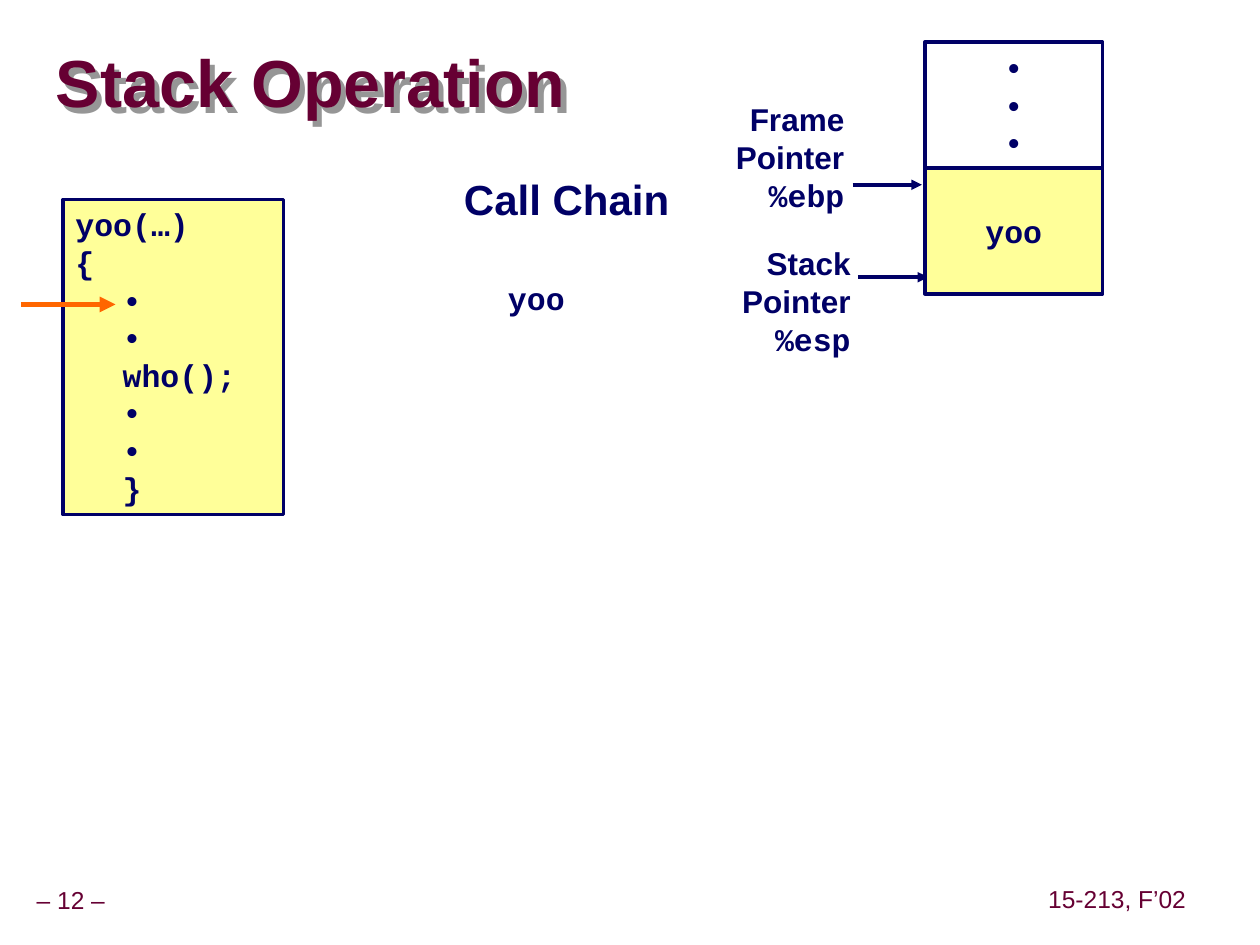
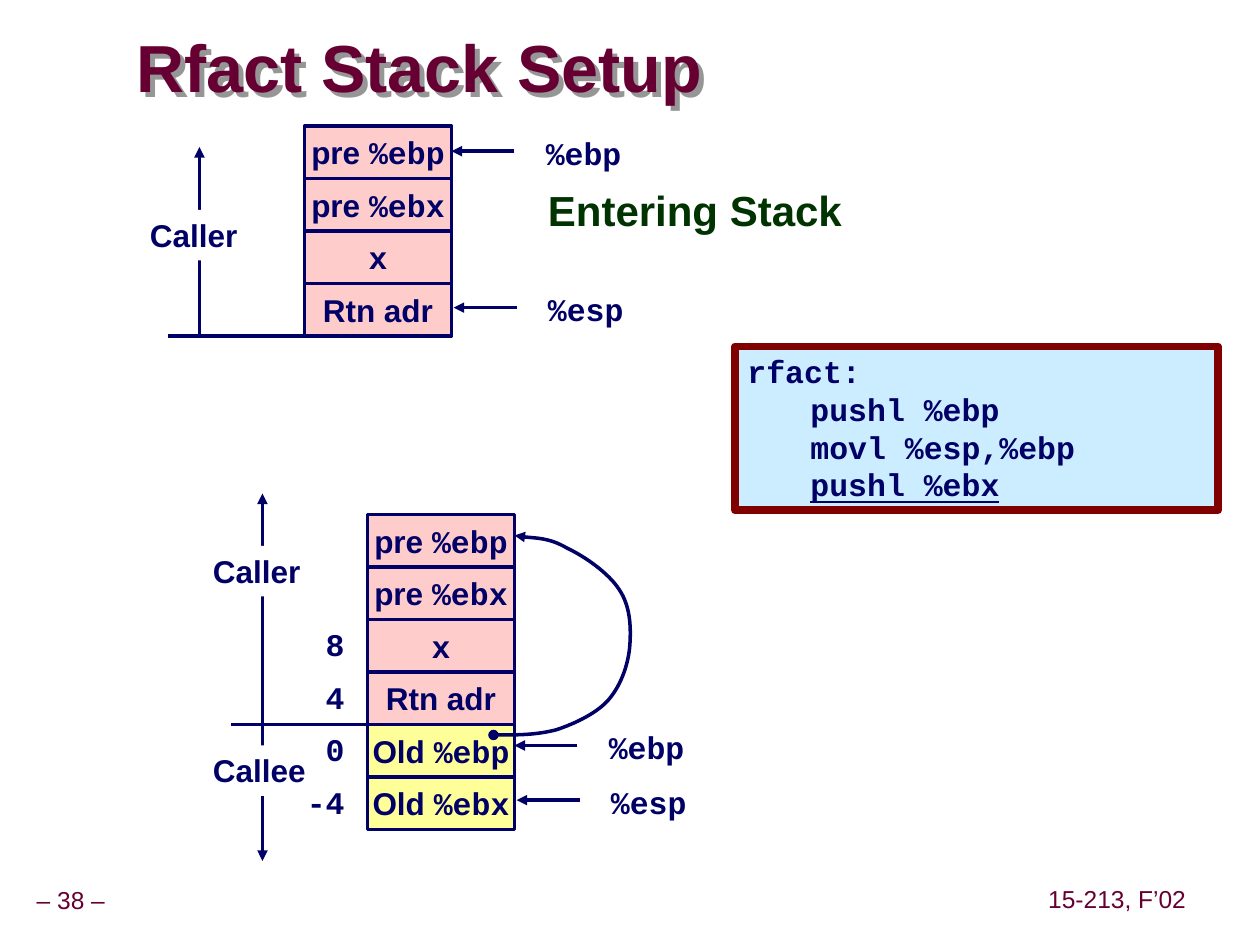
from dataclasses import dataclass
from typing import NamedTuple, Optional

from lxml import etree
from pptx import Presentation
from pptx import util as u
from pptx.dml import color
from pptx.enum import shapes, text
from pptx.oxml import ns

SCALE = 7620  # EMU per px, 120 px to the inch
SLIDE_W, SLIDE_H = 1200, 900

NAVY, MAROON, GREEN = "000066", "660033", "003300"
YELLOW, PINK, BLUE, WHITE = "FFFF99", "FFCCCC", "CCECFF", "FFFFFF"
ORANGE, DARK_RED = "FF6600", "800000"
SANS, MONO = "Arial", "Courier New"
LEFT, CENTER, RIGHT = text.PP_ALIGN.LEFT, text.PP_ALIGN.CENTER, text.PP_ALIGN.RIGHT
TOP, MIDDLE = text.MSO_ANCHOR.TOP, text.MSO_ANCHOR.MIDDLE

CELL_W, CELL_H = 140, 50


class Run(NamedTuple):
    words: str
    font: str = SANS
    underline: bool = False


class Line(NamedTuple):
    runs: tuple[Run, ...]
    indent: int = 0


class Area(NamedTuple):
    x: int
    y: int
    w: int
    h: int


@dataclass(frozen=True)
class Style:
    size: int = 18
    ink: str = NAVY
    bold: bool = True
    align: text.PP_ALIGN = LEFT
    anchor: text.MSO_ANCHOR = TOP
    spacing: Optional[float] = None  # None: a fixed height set by the size
    margin_x: int = 12
    margin_y: int = 6
    first_gap: int = 0  # extra room above the first line
    fill: Optional[str] = None
    outline: Optional[str] = None
    outline_pt: float = 2
    hug: bool = True  # no wrapping, box follows its text


LABEL = Style()
LABEL_RIGHT = Style(align=RIGHT)
SIDE_NAME = Style(fill=WHITE)
HEADING = Style(size=24)
TITLE = Style(size=38, ink=MAROON, anchor=MIDDLE, spacing=0.87,
              margin_x=0, margin_y=0, hug=False)
FOOTER = Style(size=14, ink=MAROON, bold=False, align=CENTER, anchor=MIDDLE,
               spacing=0.9, margin_x=6, margin_y=6)
CODE = Style(fill=YELLOW, outline=NAVY, hug=False)
ASSEMBLY = Style(fill=BLUE, outline=DARK_RED, outline_pt=4.5, hug=False)
OPEN_FRAME = Style(align=CENTER, outline=NAVY, hug=False)
YOO_FRAME = Style(align=CENTER, fill=YELLOW, outline=NAVY, first_gap=36, hug=False)


def px(n: float) -> u.Emu:
    return u.Emu(round(n * SCALE))


def rgb(code: str) -> color.RGBColor:
    return color.RGBColor.from_string(code)


def assign(target, values: dict) -> None:
    for key, value in values.items():
        setattr(target, key, value)


def sans(*words: str) -> list[Line]:
    return [Line((Run(w),)) for w in words]


def mono(*words: str, indent: int = 0) -> list[Line]:
    return [Line((Run(w, MONO),), indent) for w in words]


def mixed(words: str, register: str) -> list[Line]:
    return [Line((Run(words), Run(register, MONO)))]


# ---- Drawing ----
def write(frame, lines: list[Line], style: Style) -> None:
    fit = text.MSO_AUTO_SIZE
    assign(frame, {
        "word_wrap": not style.hug,
        "auto_size": fit.SHAPE_TO_FIT_TEXT if style.hug and not style.outline else fit.NONE,
        "vertical_anchor": style.anchor,
        "margin_left": px(style.margin_x), "margin_right": px(style.margin_x),
        "margin_top": px(style.margin_y + style.first_gap),
        "margin_bottom": px(style.margin_y),
    })
    for i, line in enumerate(lines):
        paragraph = frame.add_paragraph() if i else frame.paragraphs[0]
        assign(paragraph, {
            "alignment": style.align,
            "line_spacing": style.spacing or u.Pt(round(style.size * 1.195, 1)),
        })
        if line.indent:
            paragraph._p.get_or_add_pPr().set("marL", str(px(line.indent)))
        for part in line.runs:
            run = paragraph.add_run()
            run.text = part.words
            assign(run.font, {"name": part.font, "size": u.Pt(style.size),
                              "bold": style.bold, "underline": part.underline})
            run.font.color.rgb = rgb(style.ink)


def draw_box(slide, area: Area, lines: list[Line], style: Style = LABEL):
    place = [px(n) for n in area]
    if style.outline:
        box = slide.shapes.add_shape(shapes.MSO_SHAPE.RECTANGLE, *place)
        box.shadow.inherit = False
        box.line.color.rgb = rgb(style.outline)
        box.line.width = u.Pt(style.outline_pt)
    else:
        box = slide.shapes.add_textbox(*place)
    if style.fill:
        box.fill.solid()
        box.fill.fore_color.rgb = rgb(style.fill)
    else:
        box.fill.background()
    write(box.text_frame, lines, style)
    return box


def finish_line(shape, ink: str, width: float, **ends: str) -> None:
    shape.line.color.rgb = rgb(ink)
    shape.line.width = u.Pt(width)
    for end in ("headEnd", "tailEnd"):
        if end in ends:
            etree.SubElement(shape.line._get_or_add_ln(), ns.qn(f"a:{end}"), type=ends[end])


def draw_line(slide, start: tuple[int, int], end: tuple[int, int],
              ink: str = NAVY, width: float = 2, arrow: bool = True) -> None:
    line = slide.shapes.add_connector(
        shapes.MSO_CONNECTOR.STRAIGHT, *[px(n) for n in start + end])
    finish_line(line, ink, width, **({"tailEnd": "triangle"} if arrow else {}))
    etree.SubElement(line._element.spPr, ns.qn("a:effectLst"))


def draw_curve(slide, start: tuple[int, int], controls: list[tuple[int, int]]) -> None:
    """Bezier curve: every three points after the start make one segment."""
    builder = slide.shapes.build_freeform(*start, scale=SCALE)
    builder.add_line_segments(controls, close=False)
    curve = builder.convert_to_shape()
    curve.shadow.inherit = False
    curve.fill.background()
    steps = list(curve._element.iter(ns.qn("a:lnTo")))
    for first in range(0, len(steps), 3):
        head, *rest = steps[first:first + 3]
        head.tag = ns.qn("a:cubicBezTo")
        for step in rest:
            head.append(step[0])
            step.getparent().remove(step)
    finish_line(curve, NAVY, 2, headEnd="oval", tailEnd="triangle")


# ---- Shared slide parts ----
def start_slide(deck, number: int, title: str, title_area: Area):
    slide = deck.slides.add_slide(deck.slide_layouts[6])
    draw_box(slide, Area(-11, 840, 157, 37), sans(f"– {number} –"), FOOTER)
    draw_box(slide, Area(992, 839, 144, 37), sans("15-213, F’02"), FOOTER)
    heading = draw_box(slide, title_area, sans(title), TITLE)
    effects = etree.SubElement(heading._element.spPr, ns.qn("a:effectLst"))
    shadow = etree.SubElement(effects, ns.qn("a:outerShdw"),
                              dist=str(px(7)), dir="2700000", algn="ctr", rotWithShape="0")
    etree.SubElement(shadow, ns.qn("a:srgbClr"), val="969696")
    return slide


def draw_stack(slide, x: int, y: int, cells: list[tuple[list[Line], str]]) -> None:
    for row, (label, fill) in enumerate(cells):
        style = Style(align=CENTER, anchor=MIDDLE, fill=fill, outline=NAVY)
        draw_box(slide, Area(x, y + row * CELL_H, CELL_W, CELL_H), label, style)


def draw_register(slide, register: str, x: int, y: int) -> None:
    """Arrow with its tip at x, y and the register name at its tail."""
    draw_line(slide, (x + 60, y), (x, y))
    draw_box(slide, Area(x + 78, y - 22, 96, 48), mono(register))


def draw_side(slide, name: str, x: int, start: int, tip: int, name_y: int, name_w: int) -> None:
    draw_line(slide, (x, start), (x, tip))
    draw_box(slide, Area(x - 59, name_y, name_w, 48), sans(name), SIDE_NAME)


# ---- Slides ----
def stack_operation(deck) -> None:
    slide = start_slide(deck, 12, "Stack Operation", Area(53, 32, 1144, 102))

    # Stack frames and their pointers
    draw_line(slide, (817, 264), (884, 264))
    draw_line(slide, (812, 176), (878, 176))
    draw_box(slide, Area(881, 160, 169, 120), mono("yoo"), YOO_FRAME)
    draw_box(slide, Area(881, 40, 169, 120), mono("•", "•", "•"), OPEN_FRAME)
    for pointer, register, x, y in (("Frame", "%ebp", 689, 90), ("Stack", "%esp", 695, 227)):
        draw_box(slide, Area(x, y, 127, 120),
                 sans(pointer, "Pointer") + mono(register), LABEL_RIGHT)

    # Call chain
    draw_box(slide, Area(430, 160, 220, 60), sans("Call Chain"), HEADING)
    draw_box(slide, Area(472, 260, 79, 48), mono("yoo"))

    # Code and the current position in it
    body = mono("•", "•", "who();", "•", "•", "}", indent=45)
    draw_box(slide, Area(60, 190, 210, 300), mono("yoo(…)", "{") + body, CODE)
    draw_line(slide, (20, 290), (110, 290), ORANGE, 3)


def rfact_stack_setup(deck) -> None:
    slide = start_slide(deck, 38, "Rfact Stack Setup", Area(130, 30, 733, 76))
    draw_box(slide, Area(510, 170, 304, 60), sans("Entering Stack"),
             Style(size=24, ink=GREEN))

    caller = [(label, PINK) for label in (
        mixed("pre ", "%ebp"), mixed("pre ", "%ebx"), mono("x"), sans("Rtn adr"))]
    callee = [(mixed("Old ", register), YELLOW) for register in ("%ebp", "%ebx")]

    # Stack on entry
    draw_line(slide, (290, 320), (160, 320), arrow=False)
    draw_side(slide, "Caller", 190, 320, 140, 200, 107)
    draw_stack(slide, 290, 120, caller)
    draw_register(slide, "%ebp", 430, 144)
    draw_register(slide, "%esp", 432, 293)

    # Stack after setup
    draw_line(slide, (350, 690), (220, 690), arrow=False)
    draw_side(slide, "Caller", 250, 690, 470, 520, 107)
    draw_side(slide, "Callee", 250, 690, 820, 710, 112)
    draw_stack(slide, 350, 490, caller + callee)
    for row, offset in enumerate(("8", "4", "0", "-4")):
        draw_box(slide, Area(280, 590 + row * CELL_H, 60, 48), mono(offset), LABEL_RIGHT)
    draw_register(slide, "%ebp", 490, 710)
    draw_register(slide, "%esp", 492, 762)

    # Link from the saved %ebp to the caller's frame
    draw_curve(slide, (470, 700), [
        (491, 700), (511, 700), (530, 695), (548, 689), (569, 679), (580, 666),
        (592, 652), (599, 631), (600, 613), (601, 596), (600, 577), (590, 562),
        (580, 546), (557, 530), (540, 522), (523, 512), (498, 512), (490, 510)])

    # Assembly code
    pushes = mono("pushl %ebp", "movl %esp,%ebp", indent=60)
    current = Line((Run("pushl %ebx", MONO, underline=True),), indent=60)
    draw_box(slide, Area(700, 330, 460, 156), mono("rfact:") + pushes + [current], ASSEMBLY)


def main() -> None:
    deck = Presentation()
    assign(deck, {"slide_width": px(SLIDE_W), "slide_height": px(SLIDE_H)})
    stack_operation(deck)
    rfact_stack_setup(deck)
    deck.save("out.pptx")


if __name__ == "__main__":
    main()
